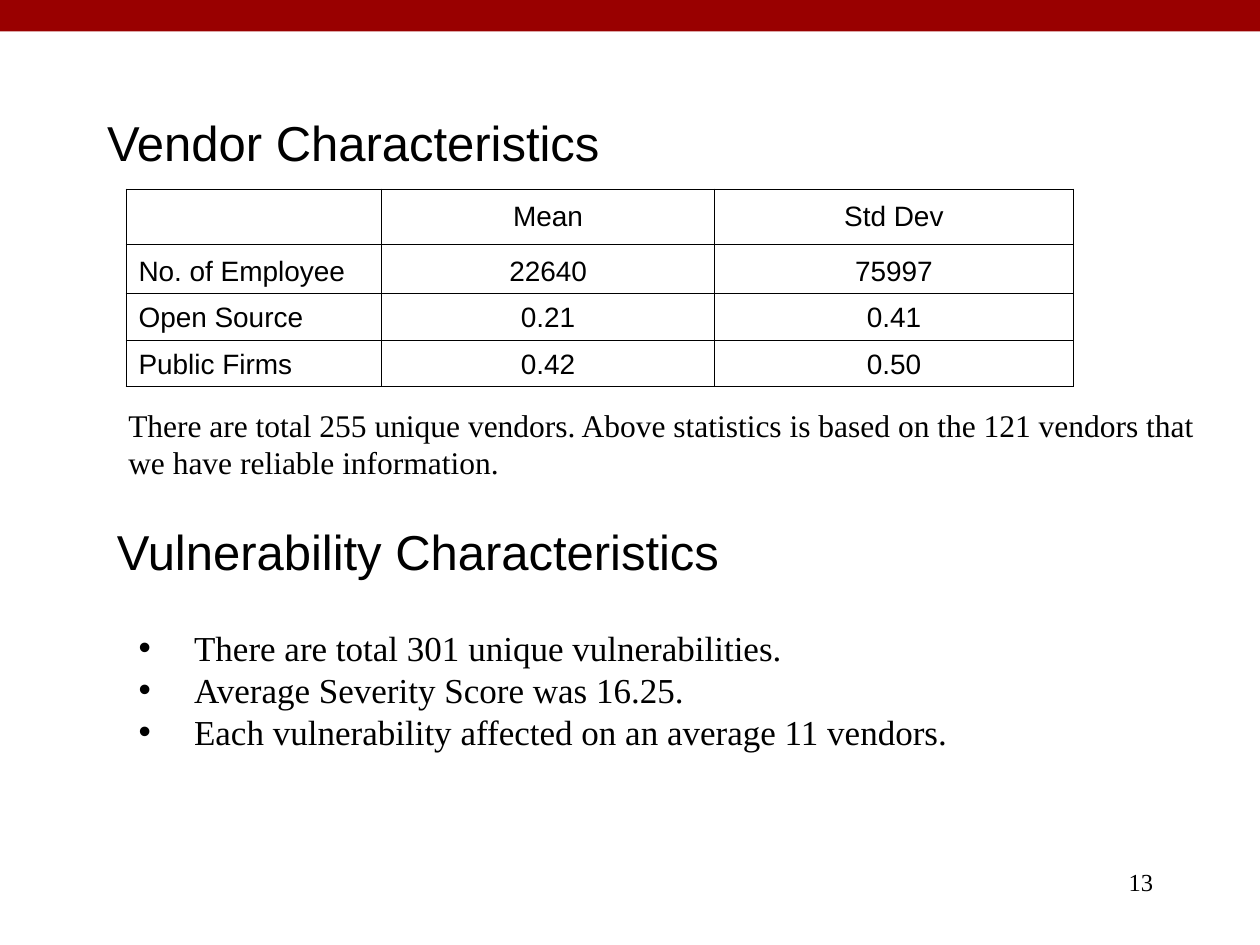
from typing import NamedTuple

from lxml.etree import SubElement
from pptx import Presentation
from pptx.dml.color import RGBColor
from pptx.enum.shapes import MSO_SHAPE
from pptx.enum.text import MSO_ANCHOR, MSO_AUTO_SIZE, PP_ALIGN
from pptx.oxml.ns import qn
from pptx.util import Inches, Pt

COLORS = {"band": "990000", "text": "000000", "paper": "FFFFFF"}
SANS, SERIF = "Arial", "Times New Roman"


class Box(NamedTuple):
    left: float
    top: float
    width: float
    height: float


class Block(NamedTuple):
    box: Box
    lines: list[str]
    font: str
    size: int
    align: PP_ALIGN = PP_ALIGN.LEFT
    anchor: MSO_ANCHOR = MSO_ANCHOR.TOP


TITLE = Block(Box(0.75, 0.5, 8.5, 1.25), ["Vendor Characteristics"],
              SANS, 28, anchor=MSO_ANCHOR.MIDDLE)
BULLETS = Block(Box(1, 4.92, 7.67, 1.1), [
    "There are total 301 unique vulnerabilities.",
    "Average Severity Score was 16.25.",
    "Each vulnerability affected on an average 11 vendors.",
], SERIF, 20)
TEXT_BOXES = [
    Block(Box(0.92, 3.17, 8.66, 0.7), [
        "There are total 255 unique vendors. Above statistics is based on "
        "the 121 vendors that we have reliable information."], SERIF, 18),
    Block(Box(0.83, 3.75, 8.5, 1.25), ["Vulnerability Characteristics"],
          SANS, 28, anchor=MSO_ANCHOR.MIDDLE),
    Block(Box(7.17, 6.83, 2.08, 0.5), ["13"], SERIF, 14, PP_ALIGN.RIGHT),
]
TABLE_BOX = Box(1, 1.5, 7.52, 1.57)
COL_WIDTHS = [2.03, 2.64, 2.85]
ROW_HEIGHTS = [0.44, 0.39, 0.37, 0.37]
ROWS = [
    ["", "Mean", "Std Dev"],
    ["No. of Employee", "22640", "75997"],
    ["Open Source", "0.21", "0.41"],
    ["Public Firms", "0.42", "0.50"],
]


def rgb(name: str) -> RGBColor:
    return RGBColor.from_string(COLORS[name])


def inches(box: Box) -> list[Inches]:
    return [Inches(v) for v in box]


def style(p, font: str, size: int, align: PP_ALIGN) -> None:
    p.alignment = align
    p.font.name, p.font.size = font, Pt(size)
    p.font.color.rgb = rgb("text")


def write(sp, block: Block) -> None:
    sp.left, sp.top, sp.width, sp.height = inches(block.box)
    tf = sp.text_frame
    tf.word_wrap = True
    tf.auto_size = MSO_AUTO_SIZE.NONE
    tf.vertical_anchor = block.anchor
    tf.text = "\n".join(block.lines)
    for p in tf.paragraphs:
        p.space_before = Pt(0)
        style(p, block.font, block.size, block.align)


def hang_bullets(sp, indent: float) -> None:
    for p in sp.text_frame.paragraphs:
        pPr = p._p.get_or_add_pPr()
        pPr.set("marL", str(Inches(indent)))
        pPr.set("indent", str(-Inches(indent)))


def add_borders(cell, width: float) -> None:
    tcPr = cell._tc.get_or_add_tcPr()
    for side in ("lnL", "lnR", "lnT", "lnB"):
        ln = SubElement(tcPr, qn(f"a:{side}"), w=str(Pt(width)))
        fill = SubElement(ln, qn("a:solidFill"))
        SubElement(fill, qn("a:srgbClr"), val=COLORS["text"])


def add_statistics(s) -> None:
    table = s.shapes.add_table(len(ROWS), len(COL_WIDTHS), *inches(TABLE_BOX)).table
    table.first_row = table.horz_banding = False
    for col, width in zip(table.columns, COL_WIDTHS):
        col.width = Inches(width)
    for i, (row, height) in enumerate(zip(ROWS, ROW_HEIGHTS)):
        table.rows[i].height = Inches(height)
        for j, text in enumerate(row):
            cell = table.cell(i, j)
            cell.text = text
            cell.vertical_anchor = MSO_ANCHOR.BOTTOM if i else MSO_ANCHOR.MIDDLE
            style(cell.text_frame.paragraphs[0], SANS, 16,
                  PP_ALIGN.CENTER if j else PP_ALIGN.LEFT)
            add_borders(cell, 0.45)
            cell.fill.solid()
            cell.fill.fore_color.rgb = rgb("paper")


def add_band(s) -> None:
    sp = s.shapes.add_shape(MSO_SHAPE.RECTANGLE, *inches(Box(0, 0, 10, 0.25)))
    sp.shadow.inherit = False
    sp.fill.solid()
    sp.fill.fore_color.rgb = rgb("band")
    sp.line.fill.background()


def main() -> None:
    prs = Presentation()
    prs.slide_width, prs.slide_height = Inches(10), Inches(7.5)
    s = prs.slides.add_slide(prs.slide_layouts[1])
    add_band(s)
    write(s.shapes.title, TITLE)
    add_statistics(s)
    body = s.placeholders[1]
    write(body, BULLETS)
    hang_bullets(body, 0.44)
    for block in TEXT_BOXES:
        write(s.shapes.add_textbox(*inches(block.box)), block)
    prs.save("out.pptx")


if __name__ == "__main__":
    main()
